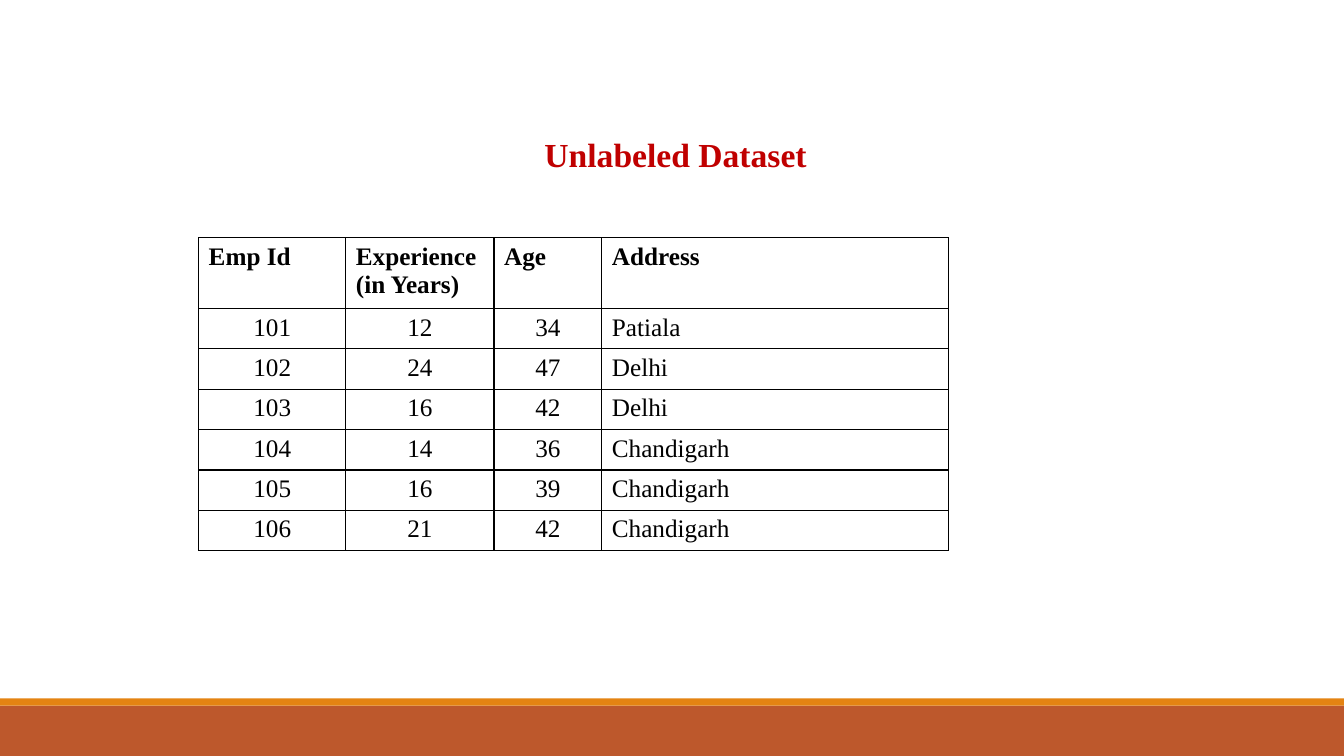
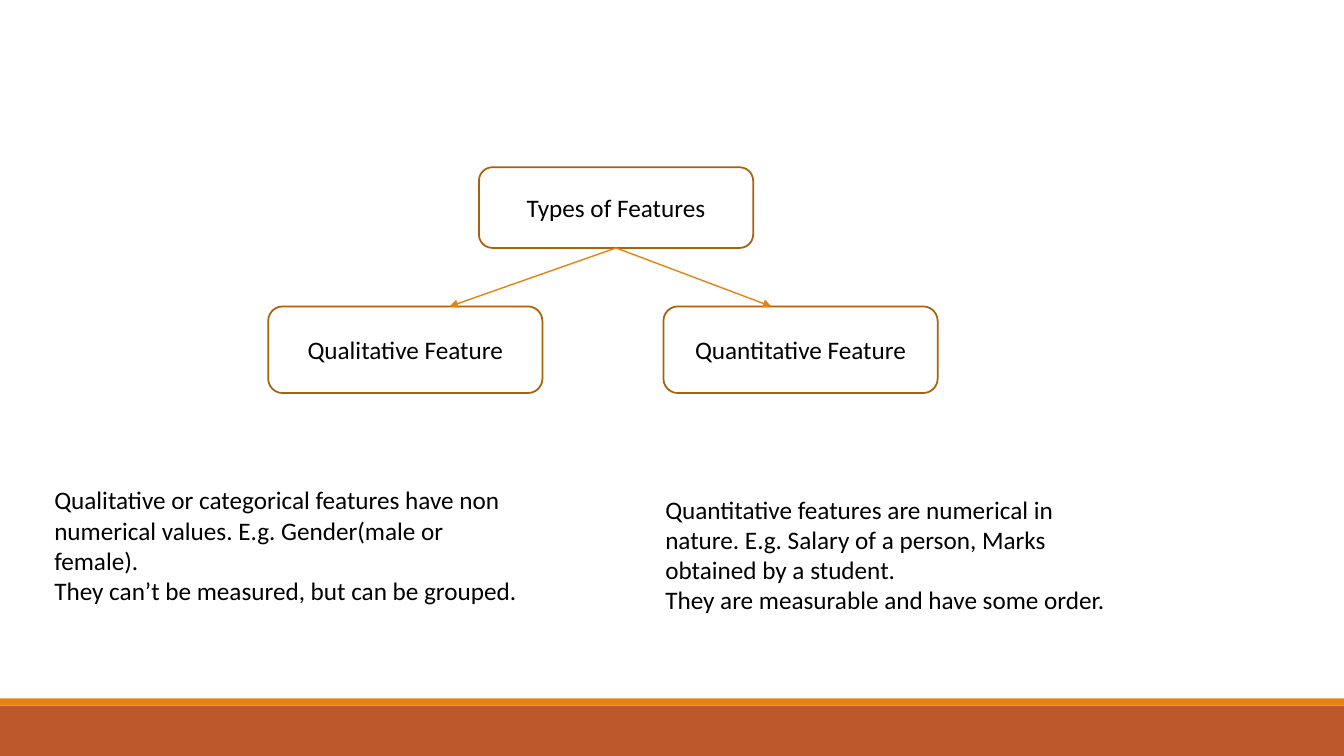
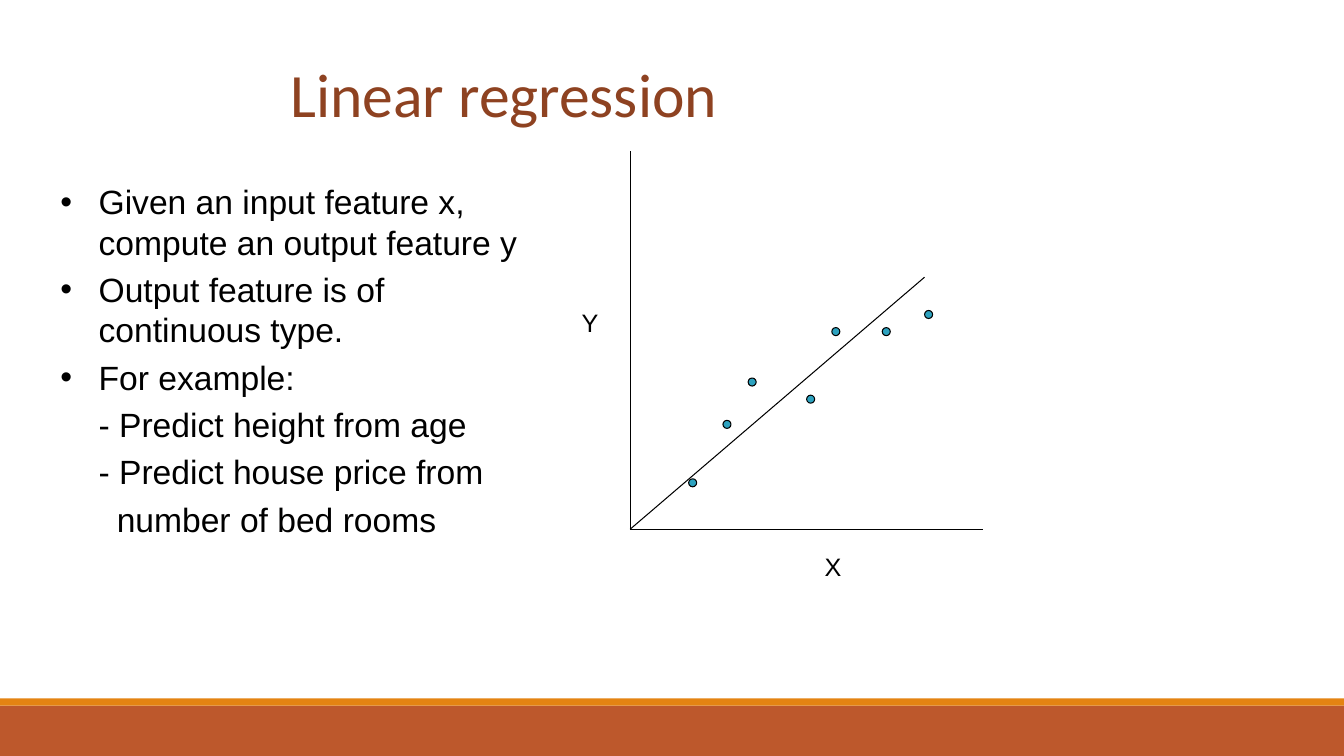
from lxml import etree
from pptx import Presentation
from pptx.dml.color import RGBColor
from pptx.enum.shapes import MSO_CONNECTOR, MSO_SHAPE
from pptx.enum.text import MSO_ANCHOR, PP_ALIGN
from pptx.oxml.ns import qn
from pptx.util import Inches, Pt

RECT = MSO_SHAPE.RECTANGLE
ROUND = MSO_SHAPE.ROUNDED_RECTANGLE
OVAL = MSO_SHAPE.OVAL
STRAIGHT = MSO_CONNECTOR.STRAIGHT
LEFT, CENTER = PP_ALIGN.LEFT, PP_ALIGN.CENTER
TOP, MIDDLE = MSO_ANCHOR.TOP, MSO_ANCHOR.MIDDLE

BLACK, RUST, ORANGE = "000000", "BD582C", "E48312"
BROWN, RED, TITLE, TEAL = "A9610D", "C00000", "8E4221", "2DA2BF"
SERIF, SANS, BODY = "Times New Roman", "Arial", "Calibri"


def rgb(value):
    return RGBColor.from_string(value)


class Deck:
    """Hold the shared style and the current slide."""

    def __init__(self):
        self.prs = Presentation()
        self.prs.slide_width = Inches(13.33)
        self.prs.slide_height = Inches(7.5)
        self.s = None

    def slide(self):
        self.s = self.prs.slides.add_slide(self.prs.slide_layouts[6])
        self.shape(RECT, 0, 7, 13.33, 0.5, fill=RUST)
        self.shape(RECT, 0, 6.93, 13.33, 0.07, fill=ORANGE)

    def style(self, tf, size=18, font=BODY, color=BLACK, bold=False, align=LEFT):
        for p in tf.paragraphs:
            p.alignment = align
            for r in p.runs:
                r.font.size = Pt(size)
                r.font.name = font
                r.font.bold = bold
                r.font.color.rgb = rgb(color)

    def shape(self, kind, x, y, w, h, fill=None, line=None, weight=0.75):
        sp = self.s.shapes.add_shape(kind, Inches(x), Inches(y), Inches(w), Inches(h))
        sp.shadow.inherit = False
        if fill:
            sp.fill.solid()
            sp.fill.fore_color.rgb = rgb(fill)
        else:
            sp.fill.background()
        if line:
            sp.line.color.rgb = rgb(line)
            sp.line.width = Pt(weight)
        else:
            sp.line.fill.background()
        return sp

    def box(self, text, x, y, w, h):
        tf = self.shape(ROUND, x, y, w, h, line=BROWN, weight=1.25).text_frame
        tf.word_wrap = True
        tf.vertical_anchor = MIDDLE
        tf.text = text
        self.style(tf, align=CENTER)

    def text(self, text, x, y, w, h, anchor=TOP, **style):
        tf = self.s.shapes.add_textbox(Inches(x), Inches(y), Inches(w), Inches(h)).text_frame
        tf.word_wrap = True
        tf.vertical_anchor = anchor
        tf.text = text
        self.style(tf, **style)
        return tf

    def bullets(self, items, x, y, w, h):
        lines = [text for text, _, _ in items]
        tf = self.text("\n".join(lines), x, y, w, h, size=24, font=SANS)
        for p, (_, margin, marked) in zip(tf.paragraphs, items):
            p.space_before = Pt(5)
            pPr = p._p.get_or_add_pPr()
            pPr.set("marL", str(Inches(margin)))
            pPr.set("indent", str(Inches(-margin if marked else 0)))
            if marked:
                etree.SubElement(pPr, qn("a:buFont"), typeface=SANS)
                etree.SubElement(pPr, qn("a:buChar"), char="•")
            else:
                etree.SubElement(pPr, qn("a:buNone"))

    def line(self, x1, y1, x2, y2, color=BLACK, weight=0.75, arrow=False):
        c = self.s.shapes.add_connector(STRAIGHT, Inches(x1), Inches(y1), Inches(x2), Inches(y2))
        c.line.color.rgb = rgb(color)
        c.line.width = Pt(weight)
        if arrow:
            etree.SubElement(c.line._get_or_add_ln(), qn("a:tailEnd"), type="triangle")
        etree.SubElement(c._element.spPr, qn("a:effectLst"))

    def border(self, cell):
        tcPr = cell._tc.get_or_add_tcPr()
        for side in ("lnL", "lnR", "lnT", "lnB"):
            ln = etree.SubElement(tcPr, qn(f"a:{side}"), w=str(Pt(1)))
            fill = etree.SubElement(ln, qn("a:solidFill"))
            etree.SubElement(fill, qn("a:srgbClr"), val=BLACK)

    def table(self, rows, x, y, widths, heights):
        frame = self.s.shapes.add_table(len(rows), len(widths), Inches(x), Inches(y),
                                        Inches(sum(widths)), Inches(sum(heights)))
        table = frame.table
        table.first_row = table.horz_banding = False
        for column, width in zip(table.columns, widths):
            column.width = Inches(width)
        for i, values in enumerate(rows):
            table.rows[i].height = Inches(heights[i])
            for j, value in enumerate(values):
                cell = table.cell(i, j)
                cell.text_frame.text = value
                centered = i > 0 and j < len(widths) - 1
                self.style(cell.text_frame, font=SERIF, bold=i == 0,
                           align=CENTER if centered else LEFT)
                self.border(cell)
                cell.fill.background()


def dataset_slide(deck):
    deck.slide()
    tf = deck.text("Unlabeled Dataset", 0.49, 0.88, 12.42, 0.79,
                   size=24, font=SERIF, color=RED, bold=True, align=CENTER)
    tf.paragraphs[0].line_spacing = 2.0
    rows = [
        ("Emp Id", "Experience\n(in Years)", "Age", "Address"),
        ("101", "12", "34", "Patiala"),
        ("102", "24", "47", "Delhi"),
        ("103", "16", "42", "Delhi"),
        ("104", "14", "36", "Chandigarh"),
        ("105", "16", "39", "Chandigarh"),
        ("106", "21", "42", "Chandigarh"),
    ]
    heights = [0.7] + [0.4] * (len(rows) - 1)
    deck.table(rows, 1.97, 2.36, (1.46, 1.47, 1.07, 3.44), heights)


def features_slide(deck):
    deck.slide()
    deck.box("Types of Features", 4.75, 1.66, 2.72, 0.8)
    for label, x, tip in (("Qualitative Feature", 2.66, 4.46),
                          ("Quantitative Feature", 6.58, 7.65)):
        deck.box(label, x, 3.04, 2.72, 0.86)
        deck.line(6.11, 2.46, tip, 3.04, ORANGE, 1, arrow=True)
    deck.text("Qualitative or categorical features have non numerical values. "
              "E.g. Gender(male or female).\n"
              "They can’t be measured, but can be grouped.", 0.44, 4.76, 4.86, 1.31)
    deck.text("Quantitative features are numerical in nature. "
              "E.g. Salary of a person, Marks obtained by a student.\n"
              "They are measurable and have some order.", 6.5, 4.85, 4.67, 1.31)


def regression_slide(deck):
    deck.slide()
    deck.text("Linear regression", 0.5, 0.3, 9, 1.25, anchor=MIDDLE,
              size=44, color=TITLE, align=CENTER)
    deck.bullets([
        ("Given an input feature x, compute an output feature y", 0.38, True),
        ("Output feature is of continuous type.", 0.38, True),
        ("For example:", 0.38, True),
        ("- Predict height from age", 0.38, False),
        ("- Predict house price from", 0.38, False),
        ("number of bed rooms", 0.56, False),
    ], 0.5, 1.75, 5.08, 4.95)
    for end in ((9.75, 5.25), (6.25, 1.5), (9.17, 2.75)):
        deck.line(6.25, 5.25, *end)
    for x, y in ((6.83, 4.75), (7.17, 4.17), (7.42, 3.75), (8, 3.92),
                 (8.25, 3.25), (8.75, 3.25), (9.17, 3.08)):
        deck.shape(OVAL, x, y, 0.08, 0.08, fill=TEAL, line=BLACK)
    for label, x, y in (("X", 8.08, 5.42), ("Y", 5.67, 3)):
        deck.text(label, x, y, 0.5, 0.4, font=SANS)


def main():
    deck = Deck()
    dataset_slide(deck)
    features_slide(deck)
    regression_slide(deck)
    deck.prs.save("out.pptx")


if __name__ == "__main__":
    main()
